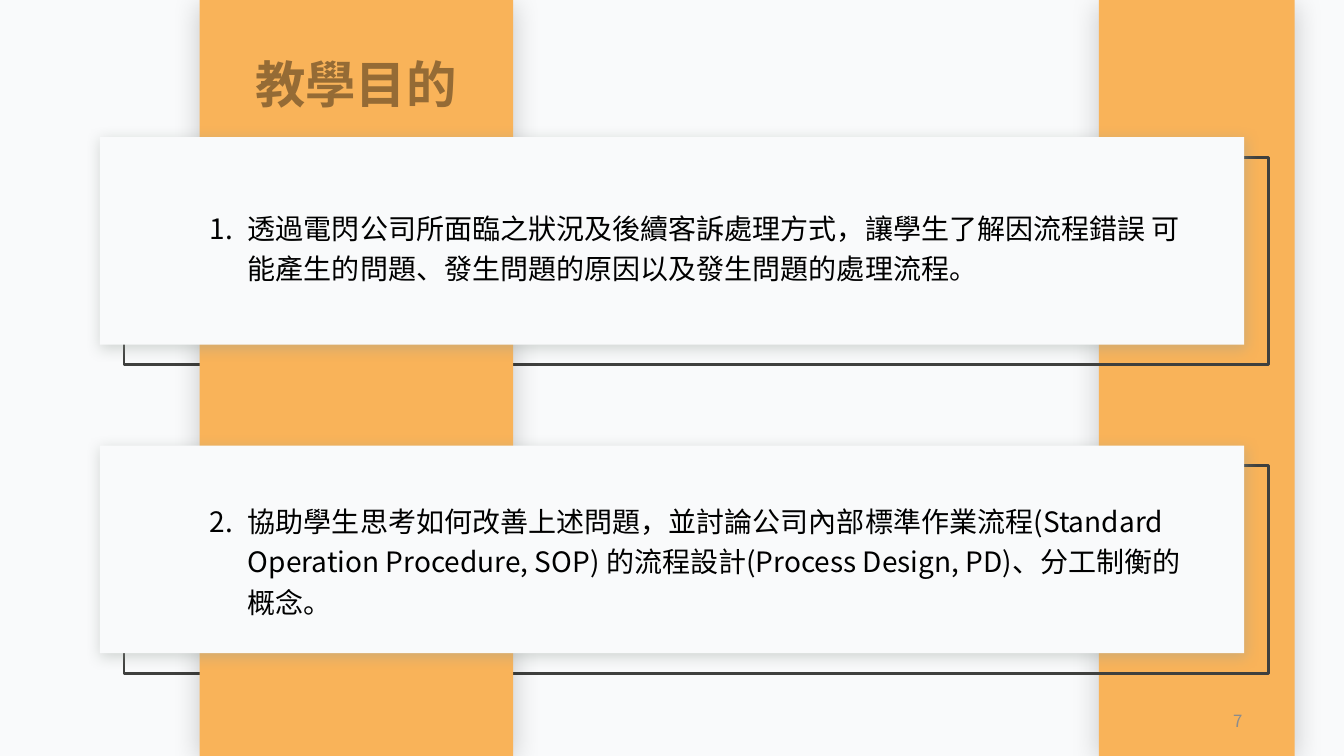
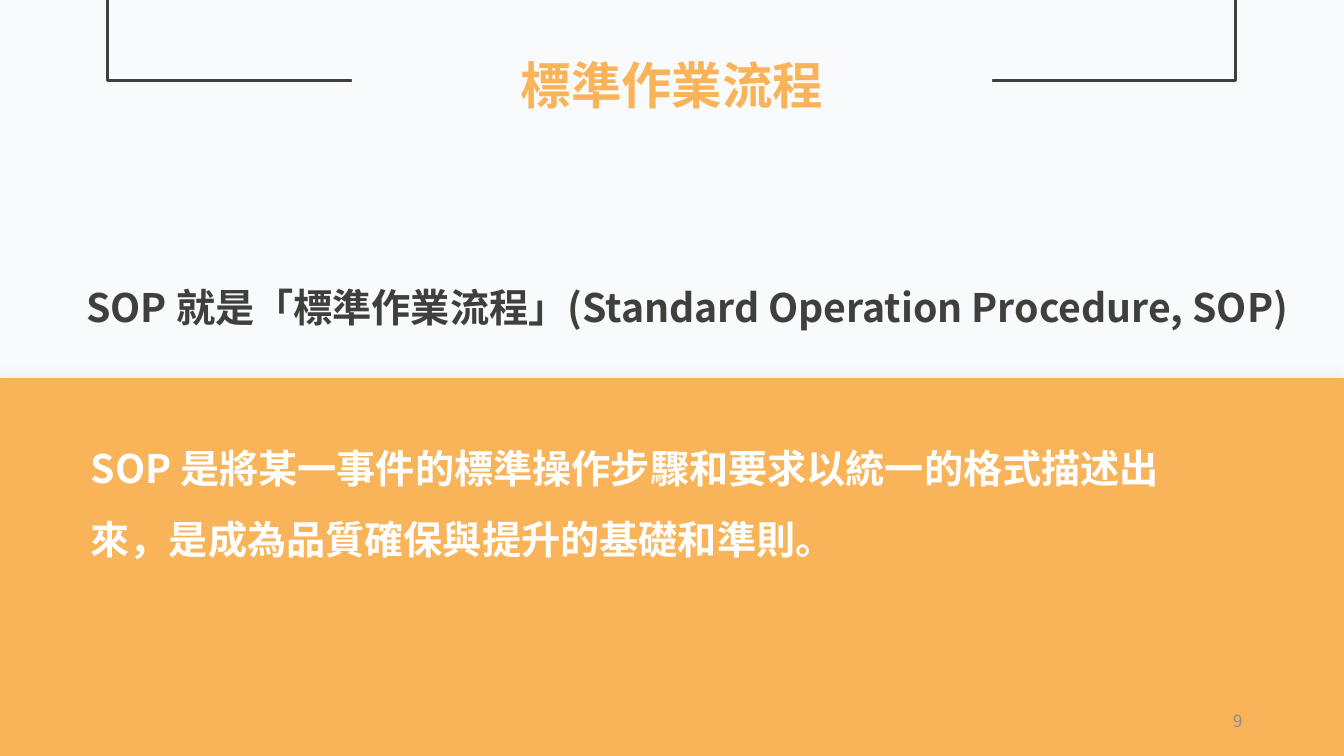
import pptx
import pptx.dml.color
import pptx.enum.shapes
import pptx.enum.text
import pptx.oxml
import pptx.oxml.ns
import pptx.util
from lxml import etree

Inches = pptx.util.Inches
Pt = pptx.util.Pt
RGBColor = pptx.dml.color.RGBColor
ALIGN = pptx.enum.text.PP_ALIGN
ANCHOR = pptx.enum.text.MSO_ANCHOR
AUTO_SIZE = pptx.enum.text.MSO_AUTO_SIZE
RECTANGLE = pptx.enum.shapes.MSO_SHAPE.RECTANGLE
qn = pptx.oxml.ns.qn

# Shared style
FONT = "Noto Sans CJK SC"
PAPER = RGBColor(0xF9, 0xFA, 0xFB)
ORANGE = RGBColor(0xF9, 0xB3, 0x59)
CHARCOAL = RGBColor(0x3F, 0x40, 0x3E)
GRAY = RGBColor(0x8C, 0x8C, 0x8C)
BLACK = RGBColor(0, 0, 0)
WHITE = RGBColor(0xFF, 0xFF, 0xFF)
CARD_SHADE = RGBColor(0x96, 0x9F, 0x98)
PANEL_SHADE = RGBColor(0xD5, 0xD7, 0xD5)
SLIDE_WIDTH, SLIDE_HEIGHT = 13.33, 7.5


def inches(*lengths):
    return [Inches(length) for length in lengths]


def add_shadow(shape, color, opacity, blur, distance):
    """Soft outer shadow falling downwards; blur and distance in points."""
    effects = shape._element.spPr.find(qn("a:effectLst"))
    outer = etree.SubElement(effects, qn("a:outerShdw"), blurRad=str(Pt(blur)),
                             dist=str(Pt(distance)), dir="5400000",
                             algn="t", rotWithShape="0")
    tint = etree.SubElement(outer, qn("a:srgbClr"), val=str(color))
    etree.SubElement(tint, qn("a:alpha"), val=str(opacity * 1000))


def add_block(slide, box, fill, shadow):
    block = slide.shapes.add_shape(RECTANGLE, *inches(*box))
    block.shadow.inherit = False
    block.fill.solid()
    block.fill.fore_color.rgb = fill
    block.line.fill.background()
    add_shadow(block, *shadow)


def style_outline(outline):
    outline.shadow.inherit = False
    outline.fill.background()
    outline.line.color.rgb = CHARCOAL
    outline.line.width = Pt(2)


def write(shape, text, size, color, bold=False, align=ALIGN.LEFT,
          spacing=None, anchor=ANCHOR.TOP, wrap=True):
    frame = shape.text_frame
    frame.text = text
    frame.word_wrap = wrap
    frame.vertical_anchor = anchor
    paragraph = frame.paragraphs[0]
    paragraph.alignment = align
    if spacing:
        paragraph.line_spacing = spacing
    run = paragraph.runs[0]
    run.font.size = Pt(size)
    run.font.bold = bold
    run.font.color.rgb = color
    run.font.name = FONT
    etree.SubElement(run._r.rPr, qn("a:ea"), typeface=FONT)
    return paragraph


def add_text(slide, box, text, size, color, **style):
    text_box = slide.shapes.add_textbox(*inches(*box))
    paragraph = write(text_box, text, size, color, **style)
    text_box.text_frame.auto_size = AUTO_SIZE.SHAPE_TO_FIT_TEXT
    return paragraph


def place_title(slide, box, text, color):
    """Format the title placeholder and bring it in front of what is drawn."""
    title = slide.shapes.title
    title.left, title.top, title.width, title.height = inches(*box)
    paragraph = write(title, text, 36, color, bold=True, align=ALIGN.CENTER)
    title.text_frame.auto_size = AUTO_SIZE.SHAPE_TO_FIT_TEXT
    slide.shapes._spTree.append(title._element)
    return paragraph


def add_page_number(slide, number):
    page = slide.shapes.add_textbox(*inches(9.42, 6.95, 3, 0.4))
    write(page, str(number), 12, GRAY, align=ALIGN.RIGHT, anchor=ANCHOR.MIDDLE)


def add_offset_frame(slide, card):
    """Outline behind a card, shifted to the lower right."""
    left, top, width, height = card
    frame = slide.shapes.add_shape(
        RECTANGLE, *inches(left + 0.24, top + 0.2, width, height))
    style_outline(frame)


def add_numbered_card(slide, card, number, text, text_top, text_height):
    left, top, width, height = card
    add_block(slide, card, PAPER, (CARD_SHADE, 40, 10, 2))
    paragraph = add_text(slide, (left + 0.99, top + text_top, 9.92, text_height),
                         text, 20, BLACK, spacing=1.2)
    properties = paragraph._p.get_or_add_pPr()
    properties.set("marL", str(Inches(0.38)))
    properties.set("indent", str(Inches(-0.38)))
    etree.SubElement(properties, qn("a:buFont"), typeface="+mj-lt")
    etree.SubElement(properties, qn("a:buAutoNum"), type="arabicPeriod",
                     startAt=str(number))


def add_hanging_frame(slide, left, bottom, width):
    """Three-sided outline hanging from the top edge of the slide."""
    right = left + width
    builder = slide.shapes.build_freeform(Inches(left), 0)
    builder.add_line_segments(
        [inches(*point) for point in ((left, bottom), (right, bottom), (right, 0))],
        close=False)
    style_outline(builder.convert_to_shape())


def build_goals(slide, goals):
    cards = [(0.99, 1.36 + 3.06 * row, 11.35, 2.06) for row in range(len(goals))]
    band_shadow = (BLACK, 20, 20, 3)

    # Bands and frames behind the cards
    add_block(slide, (10.9, 0, 1.94, SLIDE_HEIGHT), ORANGE, band_shadow)
    for card in cards:
        add_offset_frame(slide, card)
    add_block(slide, (1.98, 0, 3.11, SLIDE_HEIGHT), ORANGE, band_shadow)

    # Numbered goals
    for number, (card, goal) in enumerate(zip(cards, goals), 1):
        add_numbered_card(slide, card, number, *goal)

    # Translucent title on the left band
    heading = place_title(slide, (2.15, 0.48, 2.76, 0.71), "教學目的", BLACK)
    tint = heading.runs[0]._r.rPr.find(".//" + qn("a:srgbClr"))
    etree.SubElement(tint, qn("a:alpha"), val="40000")
    add_page_number(slide, 7)


def build_definition(slide, term, meaning):
    # Orange lower half and frame at the top
    half = SLIDE_HEIGHT / 2
    add_block(slide, (0, half, SLIDE_WIDTH, half), ORANGE,
              (PANEL_SHADE, 40, 10, 0))
    add_hanging_frame(slide, 1.07, 0.8, 11.18)

    # Title interrupts the frame
    place_title(slide, (3.49, 0.49, 6.35, 0.71), "標準作業流程", ORANGE)
    slide.shapes.title.fill.solid()
    slide.shapes.title.fill.fore_color.rgb = PAPER

    # Term and its meaning
    add_text(slide, (0.58, 2.76, 12.47, 0.57), term, 28, CHARCOAL,
             bold=True, align=ALIGN.CENTER, wrap=False)
    add_text(slide, (0.8, 4.13, 10.98, 1.43), meaning, 28, WHITE,
             bold=True, spacing=1.5)
    add_page_number(slide, 9)


# Text, its top within the card and its height
GOALS = [
    ("透過電閃公司所面臨之狀況及後續客訴處理方式，讓學生了解因流程錯誤 "
     "可能產生的問題、發生問題的原因以及發生問題的處理流程。", 0.62, 0.87),
    ("協助學生思考如何改善上述問題，並討論公司內部標準作業流程"
     "(Standard Operation Procedure, SOP) 的流程設計"
     "(Process Design, PD)、分工制衡的概念。", 0.47, 1.28),
]

deck = pptx.Presentation()
deck.slide_width, deck.slide_height = inches(SLIDE_WIDTH, SLIDE_HEIGHT)
backdrop = deck.slide_master.background.fill
backdrop.solid()
backdrop.fore_color.rgb = PAPER
title_only = deck.slide_layouts[5]

build_goals(deck.slides.add_slide(title_only), GOALS)
build_definition(
    deck.slides.add_slide(title_only),
    "SOP 就是「標準作業流程」(Standard Operation Procedure, SOP)",
    "SOP 是將某一事件的標準操作步驟和要求以統一的格式描述出來，"
    "是成為品質確保與提升的基礎和準則。")

deck.save("out.pptx")
